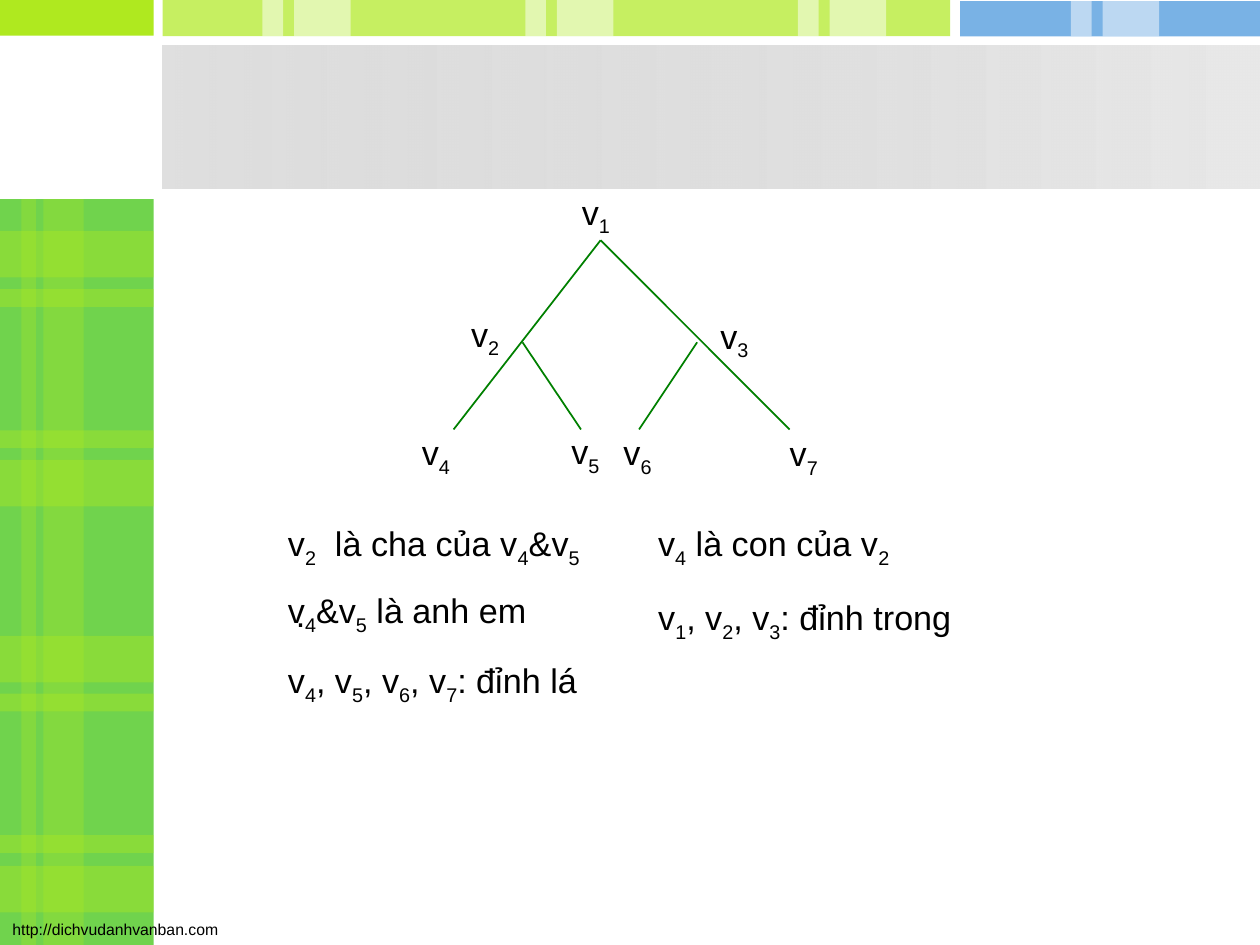
from dataclasses import dataclass

from lxml import etree
from pptx import Presentation
from pptx import util as u
from pptx.dml.color import RGBColor
from pptx.enum import shapes, text
from pptx.oxml.ns import qn


@dataclass(frozen=True)
class Theme:
    lime: str = "AFE91F"
    green: str = "70D34D"
    blue: str = "4192DB"
    white: str = "FFFFFF"
    silver: str = "C0C0C0"
    pale: str = "E8E8E8"
    edge: str = "008000"
    ink: str = "000000"
    font: str = "Arial"
    body_size: float = 19.5
    footer_size: float = 9
    subscript: int = -25000


@dataclass(frozen=True)
class Bar:
    left: float
    top: float
    width: float
    height: float
    color: str
    opacity: int = 100


@dataclass(frozen=True)
class Edge:
    start: tuple[float, float]
    end: tuple[float, float]


@dataclass(frozen=True)
class Label:
    """Text at a place; an underscore makes the next character a subscript."""
    words: str
    left: float
    top: float
    width: float = 43.2
    height: float = 29.5


THEME = Theme()
SIDE_WIDTH, SIDE_TOP, SIDE_HEIGHT = 87.8, 113.8, 426.2
HEADER_LEFT, HEADER_TOP, HEADER_WIDTH, HEADER_HEIGHT = 92.9, 25.9, 627.1, 82.1

BASE_BARS = [
    Bar(0, SIDE_TOP, SIDE_WIDTH, SIDE_HEIGHT, THEME.green),
    Bar(0, 0, SIDE_WIDTH, 20.4, THEME.lime),
    Bar(HEADER_LEFT, 0, 450, 20.6, THEME.lime, 70),
    Bar(548.6, 0.6, 171.4, 20.2, THEME.blue, 70),
]
SIDE_COLUMNS = [Bar(left, SIDE_TOP, width, SIDE_HEIGHT, THEME.lime, 30)
                for left, width in ((12.2, 8.4), (24.8, 23))]
# Each pair: top of the wide band, top of the narrow band
SIDE_BANDS = [Bar(0, top, SIDE_WIDTH, height, THEME.lime, 40)
              for pair in ((132, 165.2), (262.8, 246), (363.4, 396.4), (494.8, 477.2))
              for top, height in zip(pair, (26.6, 10.2))]
TOP_STRIPES = [Bar(left + shift, 0, width, 20.8, THEME.white, 50)
               for left in (150, 300.2, 456, 612)
               for shift, width in ((0, 11.8), (18, 32.4))]

ROOT = (343.2, 137.3)
LEAF_Y, FORK_Y = 245.4, 195.6
EDGES = [
    Edge(ROOT, (259.2, LEAF_Y)),
    Edge(ROOT, (451.2, LEAF_Y)),
    Edge((298.6, FORK_Y), (332, LEAF_Y)),
    Edge((398.4, FORK_Y), (365.2, LEAF_Y)),
]
NODES = [
    Label("v_1", 325.4, 105.8),
    Label("v_2", 262.1, 175.4),
    Label("v_3", 404.6, 176.4),
    Label("v_4", 234, 243.2),
    Label("v_5", 319.4, 242.6),
    Label("v_6", 349.2, 243.2),
    Label("v_7", 444.2, 243.6),
]
LEFT_COLUMN, RIGHT_COLUMN = 157.5, 369
STATEMENTS = [
    Label("v_2  là cha của v_4&v_5", LEFT_COLUMN, 295.2, 236, 31),
    Label(".", 162, 335.5, 253, 31),
    Label("v_4 là con của v_2", RIGHT_COLUMN, 295.2, 174, 31),
    Label("v_4&v_5 là anh em", LEFT_COLUMN, 333.4, 180, 31),
    Label("v_4, v_5, v_6, v_7: đỉnh lá", LEFT_COLUMN, 373.5, 225, 31),
    Label("v_1, v_2, v_3: đỉnh trong", RIGHT_COLUMN, 337.5, 220, 31),
]
FOOTER = Label("http://dichvudanhvanban.com", 0, 522, 133.2, 18)


def set_opacity(color_element, percent: int) -> None:
    etree.SubElement(color_element, qn("a:alpha")).set("val", str(percent * 1000))


def add_rectangle(page, left: float, top: float, width: float, height: float):
    box = page.shapes.add_shape(shapes.MSO_SHAPE.RECTANGLE,
                                *map(u.Pt, (left, top, width, height)))
    box.shadow.inherit = False
    box.line.fill.background()
    return box


def draw_bar(page, bar: Bar) -> None:
    box = add_rectangle(page, bar.left, bar.top, bar.width, bar.height)
    box.fill.solid()
    box.fill.fore_color.rgb = RGBColor.from_string(bar.color)
    if bar.opacity < 100:
        set_opacity(next(box._element.spPr.iter(qn("a:srgbClr"))), bar.opacity)


def draw_header(page) -> None:
    box = add_rectangle(page, HEADER_LEFT, HEADER_TOP, HEADER_WIDTH, HEADER_HEIGHT)
    box.fill.gradient()
    box.fill.gradient_angle = 0
    for stop, color in zip(box.fill.gradient_stops, (THEME.silver, THEME.pale)):
        stop.color.rgb = RGBColor.from_string(color)
    set_opacity(next(box._element.spPr.iter(qn("a:srgbClr"))), 50)


def draw_edge(page, edge: Edge) -> None:
    line = page.shapes.add_connector(shapes.MSO_CONNECTOR.STRAIGHT,
                                     *map(u.Pt, edge.start + edge.end))
    line.line.color.rgb = RGBColor.from_string(THEME.edge)
    line.line.width = u.Pt(1)
    etree.SubElement(line._element.spPr, qn("a:effectLst"))


def add_span(para, words: str, size: float, subscript: bool = False) -> None:
    span = para.add_run()
    span.text = words
    for name, value in {"name": THEME.font, "size": u.Pt(size)}.items():
        setattr(span.font, name, value)
    span.font.color.rgb = RGBColor.from_string(THEME.ink)
    if subscript:
        span._r.get_or_add_rPr().set("baseline", str(THEME.subscript))


def draw_label(page, label: Label, size: float = THEME.body_size, wrap: bool = True) -> None:
    box = page.shapes.add_textbox(
        *map(u.Pt, (label.left, label.top, label.width, label.height)))
    frame = box.text_frame
    frame.word_wrap = wrap
    frame.auto_size = text.MSO_AUTO_SIZE.NONE
    para = frame.paragraphs[0]
    first, *rest = label.words.split("_")
    add_span(para, first, size)
    for part in rest:
        add_span(para, part[0], size, subscript=True)
        if part[1:]:
            add_span(para, part[1:], size)


def main() -> None:
    deck = Presentation()
    deck.slide_width, deck.slide_height = u.Pt(720), u.Pt(540)
    page = deck.slides.add_slide(deck.slide_layouts[6])
    for bar in BASE_BARS + SIDE_COLUMNS + SIDE_BANDS + TOP_STRIPES:
        draw_bar(page, bar)
    draw_header(page)
    draw_label(page, FOOTER, THEME.footer_size, wrap=False)
    for edge in EDGES:
        draw_edge(page, edge)
    for label in NODES + STATEMENTS:
        draw_label(page, label)
    deck.save("out.pptx")


if __name__ == "__main__":
    main()
